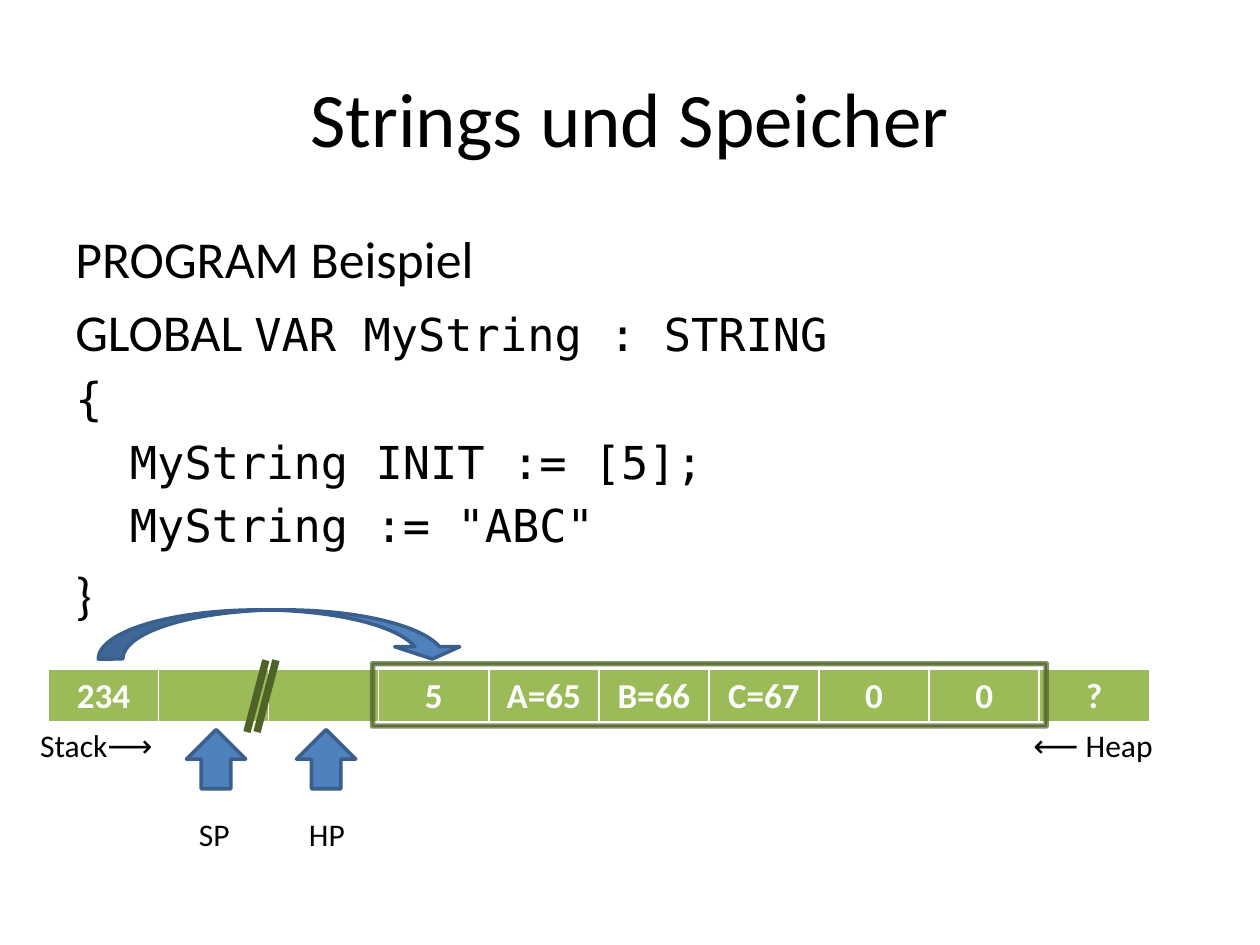
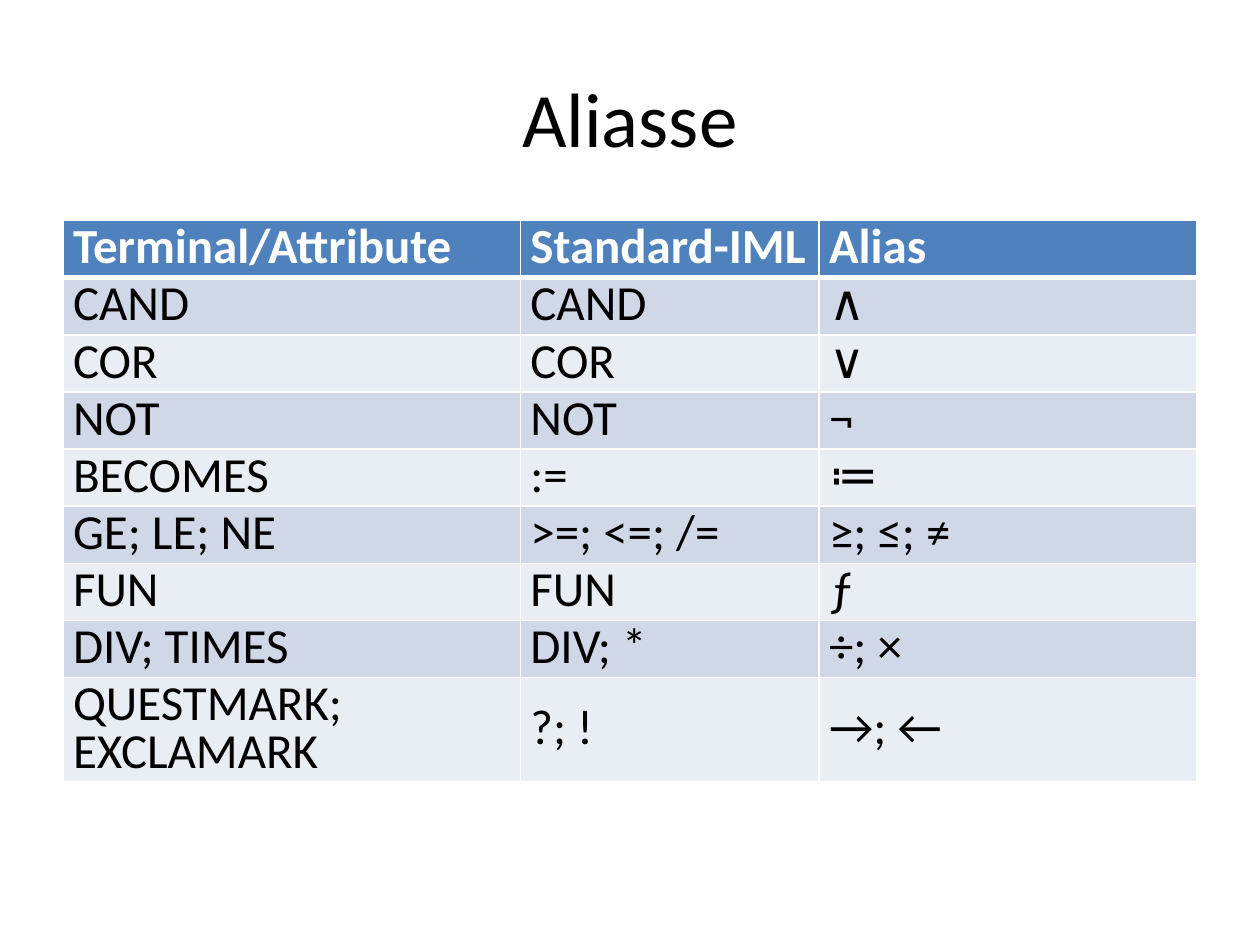
import pptx
import pptx.dml.color
import pptx.enum.shapes
import pptx.enum.text
import pptx.oxml
import pptx.oxml.ns
import pptx.util

RGBColor = pptx.dml.color.RGBColor
Pt = pptx.util.Pt
Align = pptx.enum.text.PP_ALIGN
Anchor = pptx.enum.text.MSO_ANCHOR
Shape = pptx.enum.shapes.MSO_SHAPE

BLACK = RGBColor(0x00, 0x00, 0x00)
WHITE = RGBColor(0xFF, 0xFF, 0xFF)
BLUE = RGBColor(0x4F, 0x81, 0xBD)
DARK_BLUE = RGBColor(0x3A, 0x5F, 0x8C)
BAND_DARK = RGBColor(0xD0, 0xD8, 0xE8)
BAND_LIGHT = RGBColor(0xE9, 0xED, 0xF4)
GREEN = RGBColor(0x9B, 0xBB, 0x59)
LIGHT_GREEN = RGBColor(0xC3, 0xD6, 0x9B)
DARK_GREEN = RGBColor(0x4F, 0x62, 0x28)

TEXT_FONT = "Calibri"
CODE_FONT = "DejaVu Sans Mono"
COLUMNS, ROWS = 100, 75


def element(xml):
    """Parse a fragment whose outer tag is in the drawing namespace."""
    tag_end = min(xml.index(mark) for mark in (" ", "/", ">") if mark in xml)
    declaration = " " + pptx.oxml.ns.nsdecls("a")
    return pptx.oxml.parse_xml(xml[:tag_end] + declaration + xml[tag_end:])


def set_opacity(color_parent, percent):
    color = color_parent.find(".//" + pptx.oxml.ns.qn("a:srgbClr"))
    color.append(element(f'<a:alpha val="{percent * 1000}"/>'))


class Deck:
    """Style and current slide; lengths are in grid columns and rows."""

    def __init__(self):
        self.presentation = pptx.Presentation()
        self.presentation.slide_width = pptx.util.Inches(10)
        self.presentation.slide_height = pptx.util.Inches(7.5)
        self.slide = None

    def x(self, columns):
        return round(self.presentation.slide_width * columns / COLUMNS)

    def y(self, rows):
        return round(self.presentation.slide_height * rows / ROWS)

    def box(self, left, top, width, height):
        return self.x(left), self.y(top), self.x(width), self.y(height)

    def new_slide(self, title):
        layout = self.presentation.slide_layouts[6]
        self.slide = self.presentation.slides.add_slide(layout)
        frame = self.text_box(5, 3, 90, 12.5)
        frame.vertical_anchor = Anchor.MIDDLE
        frame.paragraphs[0].alignment = Align.CENTER
        self.run(frame.paragraphs[0], title, 44)

    def text_box(self, left, top, width, height):
        shape = self.slide.shapes.add_textbox(*self.box(left, top, width, height))
        shape.text_frame.word_wrap = True
        return shape.text_frame

    def run(self, paragraph, text, size, font=TEXT_FONT, color=BLACK, bold=False):
        run = paragraph.add_run()
        run.text = text
        run.font.size = Pt(size)
        run.font.name = font
        run.font.bold = bold
        run.font.color.rgb = color

    def label(self, left, top, width, height, text):
        paragraph = self.text_box(left, top, width, height).paragraphs[0]
        self.run(paragraph, text, 18)
        return paragraph

    def code(self, left, top, width, height, lines):
        """Each line is (indent in columns, [(text, size, font), ...])."""
        frame = self.text_box(left, top, width, height)
        for index, (indent, parts) in enumerate(lines):
            paragraph = frame.add_paragraph() if index else frame.paragraphs[0]
            paragraph.space_before = Pt(0.2 * max(size for _, size, _ in parts))
            paragraph._p.get_or_add_pPr().set("marL", str(self.x(indent)))
            for part in parts:
                self.run(paragraph, *part)

    def shape(self, kind, left, top, width, height, fill=BLUE, line=DARK_BLUE,
              adjustments=()):
        shape = self.slide.shapes.add_shape(kind, *self.box(left, top, width, height))
        shape.shadow.inherit = False
        shape.fill.solid()
        shape.fill.fore_color.rgb = fill
        shape.line.color.rgb = line
        shape.line.width = Pt(2)
        for index, value in enumerate(adjustments):
            shape.adjustments[index] = value
        return shape

    def line(self, start, end, color, width):
        connector = self.slide.shapes.add_connector(
            pptx.enum.shapes.MSO_CONNECTOR.STRAIGHT,
            self.x(start[0]), self.y(start[1]), self.x(end[0]), self.y(end[1]))
        connector.line.color.rgb = color
        connector.line.width = Pt(width)
        connector._element.spPr.append(element("<a:effectLst/>"))

    def table(self, left, top, widths, row_height, texts):
        frame = self.slide.shapes.add_table(
            len(texts), len(widths),
            *self.box(left, top, sum(widths), row_height * len(texts)))
        table = frame.table
        for column, width in zip(table.columns, widths):
            column.width = self.x(width)
        for row_index, row_texts in enumerate(texts):
            table.rows[row_index].height = self.y(row_height)
            for column_index, text in enumerate(row_texts):
                yield table.cell(row_index, column_index), row_index, text

    def cell(self, cell, text, size, fill, header):
        """White borders, heavier below a header; returns the paragraph."""
        properties = cell._tc.get_or_add_tcPr()
        for side in "LRTB":
            width = Pt(3 if header and side == "B" else 1)
            properties.append(element(
                f'<a:ln{side} w="{width}"><a:solidFill><a:srgbClr val="{WHITE}"/>'
                f'</a:solidFill></a:ln{side}>'))
        cell.fill.solid()
        cell.fill.fore_color.rgb = fill
        paragraph = cell.text_frame.paragraphs[0]
        if text:
            self.run(paragraph, text, size, color=WHITE if header else BLACK,
                     bold=header)
        return paragraph


def strings_and_memory(deck):
    deck.new_slide("Strings und Speicher")
    text_size, code_size, code_indent = 29.6, 25.9, 4.33
    deck.code(5, 17.5, 90, 32.9, [
        (0, [("PROGRAM Beispiel", text_size, TEXT_FONT)]),
        (0, [("GLOBAL ", text_size, TEXT_FONT),
             ("VAR MyString : STRING", code_size, CODE_FONT)]),
        (0, [("{", code_size, CODE_FONT)]),
        (code_indent, [("MyString INIT := [5];", code_size, CODE_FONT)]),
        (code_indent, [('MyString := "ABC"', code_size, CODE_FONT)]),
        (0, [("}", text_size, TEXT_FONT)]),
    ])

    memory = ["234", "", "", "5", "A=65", "B=66", "C=67", "0", "0", "?"]
    cell_width = 8.74
    for cell, _, text in deck.table(3.85, 53.1, [cell_width] * len(memory), 4.3,
                                    [memory]):
        deck.cell(cell, text, 20, GREEN, True).alignment = Align.CENTER

    deck.shape(Shape.CURVED_DOWN_ARROW, 7.8, 48.4, 29.1, 3.9,
               adjustments=(0.5, 1.323, 0.25))
    for index, pointer in enumerate(["SP", "HP"]):
        left = 14.8 + index * cell_width
        deck.shape(Shape.UP_ARROW, left, 57.9, 4.7, 4.7)
        deck.label(left, 64.2, 5.5, 4, pointer)
    for offset in (0, 0.8):
        deck.line((21.1 + offset, 52.4), (19.6 + offset, 58.1), DARK_GREEN, 4.25)

    ends = deck.label(2.2, 57.1, 90.6, 7.1, "Stack⟶\t⟵ Heap")
    ends._p.get_or_add_pPr().append(element(
        f'<a:tabLst><a:tab pos="{deck.x(88.3)}" algn="r"/></a:tabLst>'))

    string_frame = deck.shape(Shape.FRAME, 29.5, 52.6, 53.6, 5.1, LIGHT_GREEN,
                              DARK_GREEN, (0.03,))
    properties = string_frame._element.spPr
    set_opacity(properties.find(pptx.oxml.ns.qn("a:solidFill")), 82)
    set_opacity(properties.find(pptx.oxml.ns.qn("a:ln")), 70)


def aliases(deck):
    deck.new_slide("Aliasse")
    texts = [
        ("Terminal/Attribute", "Standard-IML", "Alias"),
        ("CAND", "CAND", "∧"),
        ("COR", "COR", "∨"),
        ("NOT", "NOT", "¬"),
        ("BECOMES", ":=", "≔"),
        ("GE; LE; NE", ">=; <=; /=", "≥; ≤; ≠"),
        ("FUN", "FUN", "ƒ"),
        ("DIV; TIMES", "DIV; *", "÷; ×"),
        ("QUESTMARK; EXCLAMARK", "?; !", "→; ←"),
    ]
    for cell, row, text in deck.table(5, 17.5, [36.3, 23.7, 30], 4.1, texts):
        band = BAND_DARK if row % 2 else BAND_LIGHT
        paragraph = deck.cell(cell, text, 28, band if row else BLUE, row == 0)
        paragraph.line_spacing = 0.8
        paragraph.space_before = paragraph.space_after = Pt(2)
        cell.vertical_anchor = Anchor.MIDDLE
        cell.margin_left = cell.margin_right = deck.x(0.8)
        cell.margin_top = cell.margin_bottom = deck.y(0.4)


def main():
    deck = Deck()
    strings_and_memory(deck)
    aliases(deck)
    deck.presentation.save("out.pptx")


if __name__ == "__main__":
    main()
